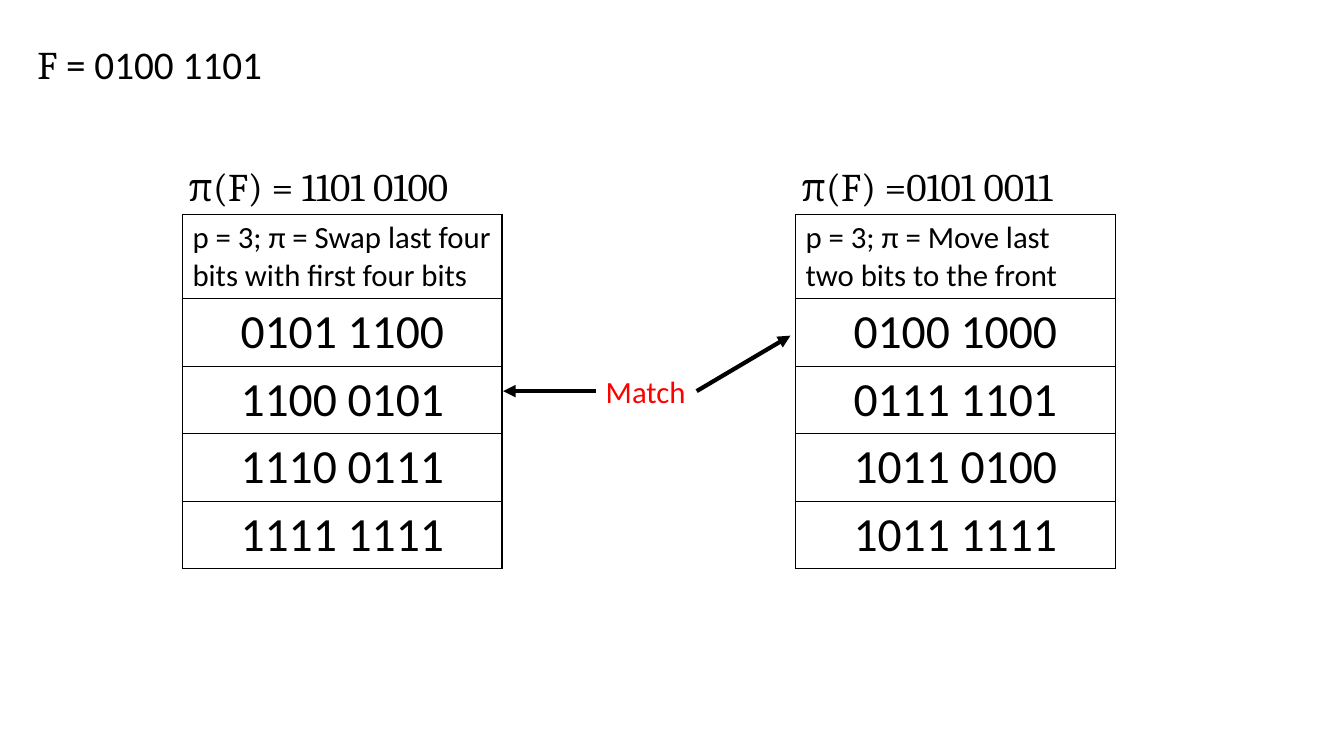
from lxml import etree
from pptx import Presentation
from pptx.dml.color import RGBColor
from pptx.enum.shapes import MSO_CONNECTOR
from pptx.enum.text import MSO_ANCHOR, MSO_AUTO_SIZE, PP_ALIGN
from pptx.oxml.ns import qn
from pptx.util import Pt

PX = 9144
STRAIGHT = MSO_CONNECTOR.STRAIGHT
MIDDLE = MSO_ANCHOR.MIDDLE
NO_AUTOFIT = MSO_AUTO_SIZE.NONE
LEFT, CENTER = PP_ALIGN.LEFT, PP_ALIGN.CENTER
LEFT_SIDE, RIGHT_SIDE = 1, 3
BLACK, RED = "000000", "FF0000"
TABLE_WIDTH, HEADER_HEIGHT, ROW_HEIGHT = 317, 83, 67


def set_font(font, name, size, color=BLACK):
    font.name = name
    font.size = Pt(size)
    font.color.rgb = RGBColor.from_string(color)


def add_label(page, text, left, top, width, height, name, size, color=BLACK):
    box = page.shapes.add_textbox(left * PX, top * PX, width * PX, height * PX)
    box.text_frame.word_wrap = False
    para = box.text_frame.paragraphs[0]
    para.text = text
    set_font(para.font, name, size, color)
    return box


deck = Presentation()
deck.slide_width, deck.slide_height = 1333 * PX, 750 * PX
page = deck.slides.add_slide(deck.slide_layouts[5])

title = page.shapes.title
title.left, title.top, title.width, title.height = 27 * PX, 35 * PX, 248 * PX, 57 * PX
title.text_frame.word_wrap = False
title.text_frame.auto_size = NO_AUTOFIT
title_para = title.text_frame.paragraphs[0]
title_para.alignment = LEFT
for text, name in (("F", "Cambria"), (" = 0100 1101", "Calibri")):
    span = title_para.add_run()
    span.text = text
    set_font(span.font, name, 28)

permutations = [
    (181, 326, "π(F) = 1101 0100", "p = 3; π = Swap last four bits with first four bits",
     ["0101 1100", "1100 0101", "1110 0111", "1111 1111"]),
    (789, 318, "π(F) =0101 0011", "p = 3; π = Move last two bits to the front",
     ["0100 1000", "0111 1101", "1011 0100", "1011 1111"]),
]
for left, label_width, label, rule, hashes in permutations:
    add_label(page, label, left - 4, 156, label_width, 57, "Cambria", 28)
    table_height = HEADER_HEIGHT + len(hashes) * ROW_HEIGHT
    table = page.shapes.add_table(len(hashes) + 1, 1, left * PX, 213 * PX,
                                  TABLE_WIDTH * PX, table_height * PX).table
    table.first_row = False
    table.horz_banding = False
    for index, text in enumerate([rule] + hashes):
        is_rule = index == 0
        table.rows[index].height = (HEADER_HEIGHT if is_rule else ROW_HEIGHT) * PX
        cell = table.cell(index, 0)
        cell.text = text
        para = cell.text_frame.paragraphs[0]
        para.alignment = LEFT if is_rule else CENTER
        set_font(para.font, "Calibri", 22 if is_rule else 34)
        cell_properties = cell._tc.get_or_add_tcPr()
        for side in ("a:lnL", "a:lnR", "a:lnT", "a:lnB"):
            border = etree.SubElement(cell_properties, qn(side), w=str(Pt(1)))
            fill = etree.SubElement(border, qn("a:solidFill"))
            etree.SubElement(fill, qn("a:srgbClr"), val=BLACK)
        cell.fill.background()

match = add_label(page, "Match", 591, 365, 100, 46, "Calibri", 22, RED)
match.text_frame.vertical_anchor = MIDDLE

for side, end_x, end_y in ((LEFT_SIDE, 499, 388), (RIGHT_SIDE, 784, 333)):
    arrow = page.shapes.add_connector(STRAIGHT, 591 * PX, 388 * PX, end_x * PX, end_y * PX)
    arrow.begin_connect(match, side)
    arrow.line.width = Pt(3)
    arrow.line.color.rgb = RGBColor.from_string(BLACK)
    etree.SubElement(arrow.line._get_or_add_ln(), qn("a:tailEnd"), type="triangle")
    etree.SubElement(arrow._element.spPr, qn("a:effectLst"))

deck.save("out.pptx")
